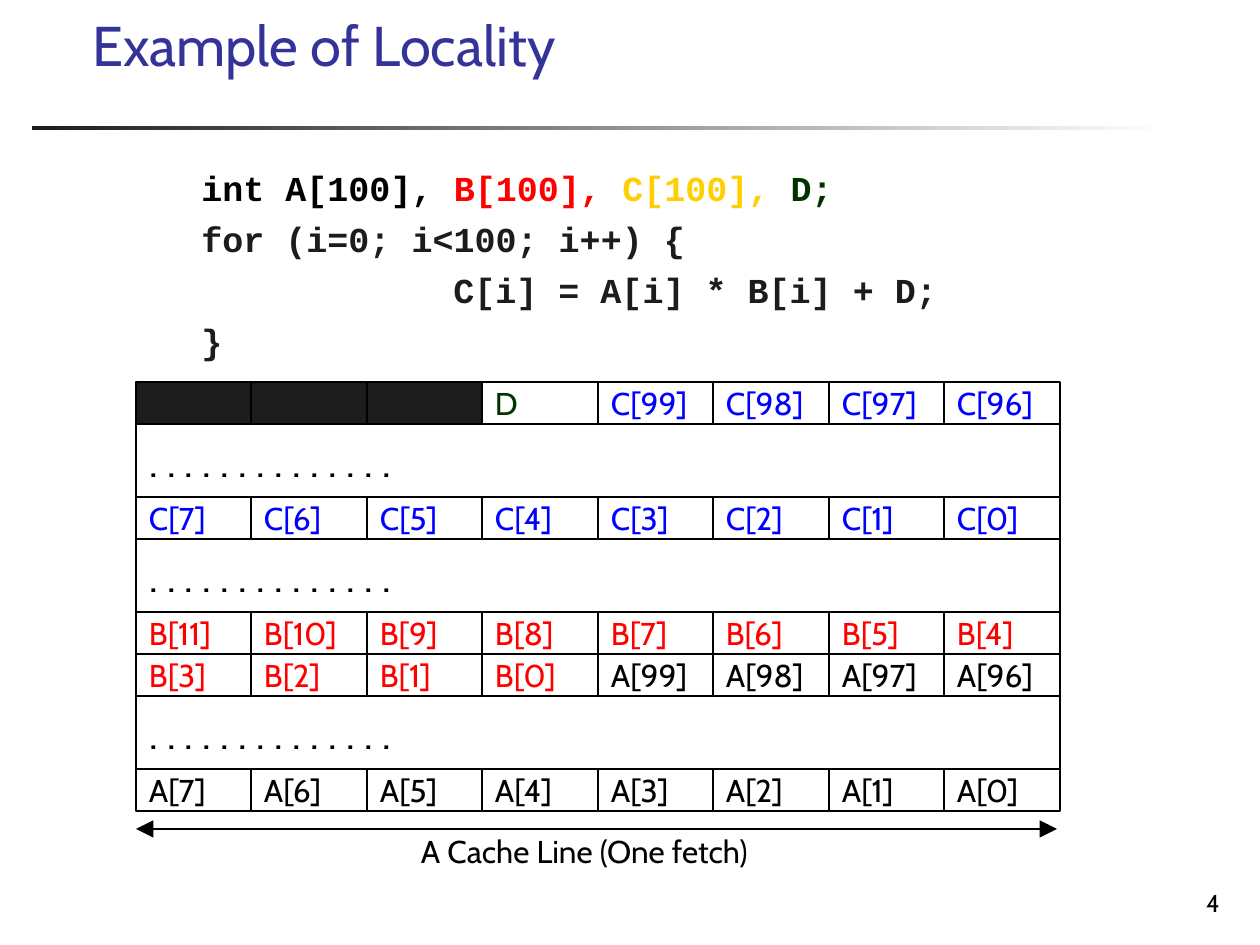
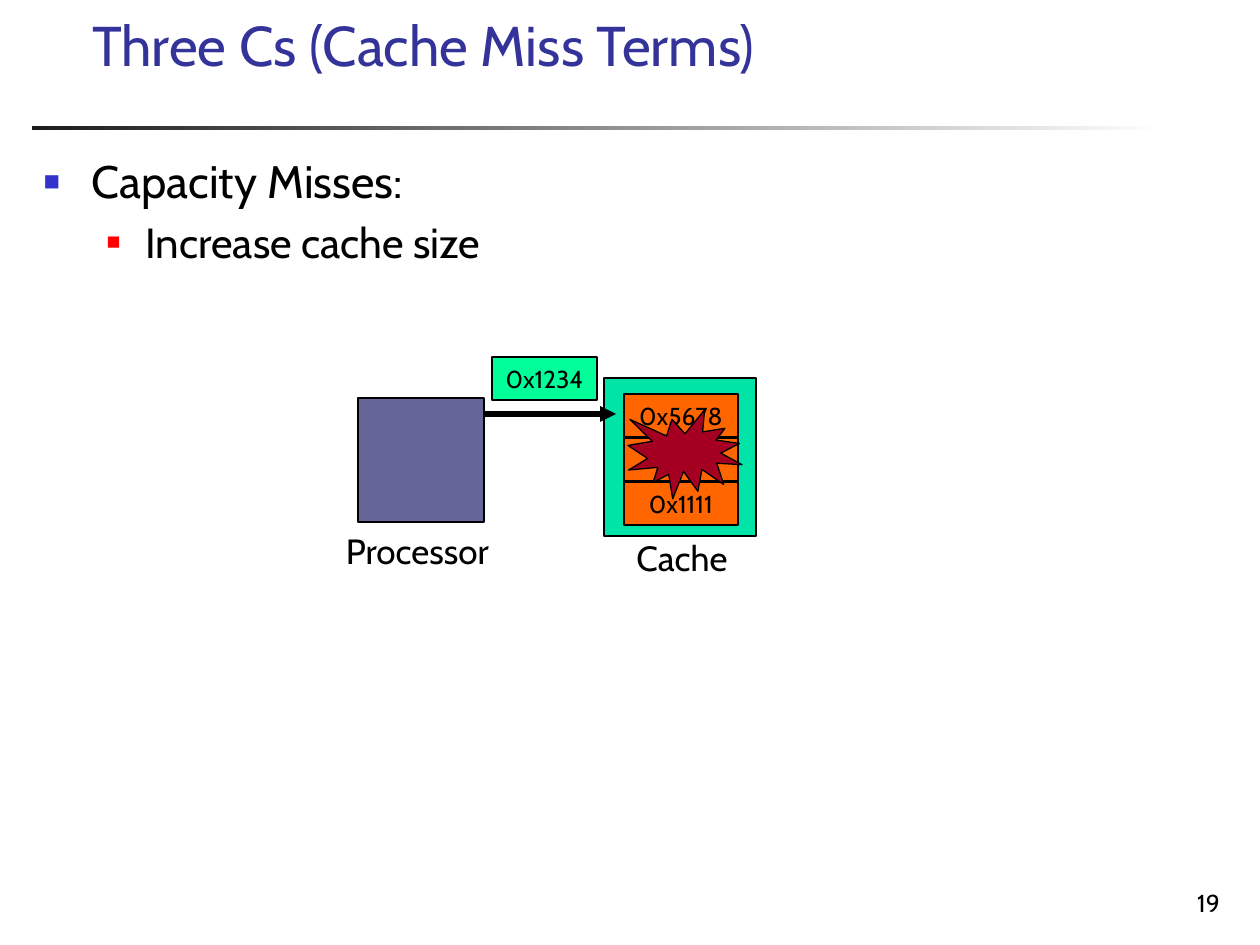
from lxml.etree import SubElement
from pptx import Presentation
from pptx.dml.color import RGBColor
from pptx.enum.shapes import MSO_CONNECTOR as Link, MSO_SHAPE as Preset
from pptx.enum.text import MSO_ANCHOR as Anchor, MSO_AUTO_SIZE as AutoSize, PP_ALIGN as Align
from pptx.oxml.ns import qn
from pptx.util import Emu, Pt

PX_PER_INCH = 126


class Theme:
    font, code_font, bullet_font = "Cabin", "Courier New", "Arial"
    white, black, ink = RGBColor(255, 255, 255), RGBColor(0, 0, 0), RGBColor(28, 28, 28)
    title = RGBColor(0x33, 0x33, 0x99)
    red, blue = RGBColor(255, 0, 0), RGBColor(0, 0, 255)
    green, gold = RGBColor(0, 0x33, 0), RGBColor(0xFF, 0xCF, 0x01)
    variables = {"A": black, "B": red, "C": blue, "D": green}
    processor, cache = RGBColor(0x66, 0x66, 0x99), RGBColor(0, 0xE4, 0xA8)
    block, request = RGBColor(0xFF, 0x66, 0), RGBColor(0, 0xFF, 0x99)
    burst = RGBColor(0xA5, 0, 0x21)
    title_size, caption_size, cell_size, dots_size = 32, 20, 18, 24
    code_size, block_size, page_size = 20, 14, 14
    hairline, thick = 0.75, 3
    bullets = [
        {"size": 26, "left": 48, "hang": 48, "color": "3333CC", "scale": "60000"},
        {"size": 24, "left": 102, "hang": 39, "color": "FF0000", "scale": "55000"},
    ]


def px(length):
    return Emu(round(length * 914400 / PX_PER_INCH))


def place(shape, left, top, width, height):
    shape.left, shape.top = px(left), px(top)
    shape.width, shape.height = px(width), px(height)


def add_run(paragraph, text, size, color=Theme.black, font=Theme.font, bold=False):
    run = paragraph.add_run()
    run.text = text
    run.font.name, run.font.size, run.font.bold = font, Pt(size), bold
    run.font.color.rgb = color


def write(shape, text, size, color=Theme.black, align=Align.CENTER,
          anchor=Anchor.MIDDLE, side=0, edge=0):
    frame = shape.text_frame
    frame.word_wrap, frame.auto_size = True, AutoSize.NONE
    frame.vertical_anchor = anchor
    frame.margin_left = frame.margin_right = px(side)
    frame.margin_top = frame.margin_bottom = px(edge)
    paragraph = frame.paragraphs[0]
    paragraph.alignment = align
    add_run(paragraph, text, size, color)


def add_label(slide, bounds, text, size, **style):
    write(slide.shapes.add_textbox(*map(px, bounds)), text, size, **style)


def add_box(slide, bounds, fill, preset=Preset.RECTANGLE):
    box = slide.shapes.add_shape(preset, *map(px, bounds))
    box.shadow.inherit = False
    box.fill.solid()
    box.fill.fore_color.rgb = fill
    box.line.color.rgb = Theme.black
    box.line.width = Pt(Theme.hairline)
    return box


def add_arrow(slide, start, end, y, width, ends, head="med"):
    arrow = slide.shapes.add_connector(Link.STRAIGHT, px(start), px(y), px(end), px(y))
    arrow.line.color.rgb = Theme.black
    arrow.line.width = Pt(width)
    outline = arrow.line._get_or_add_ln()
    for end_tag in ends:
        SubElement(outline, qn(end_tag), type="triangle", w=head, len=head)
    SubElement(arrow._element.spPr, qn("a:effectLst"))


def add_rule(slide):
    rule = slide.shapes.add_shape(Preset.RECTANGLE, *map(px, (32, 126, 1134, 4)))
    rule.shadow.inherit = False
    rule.line.fill.background()
    rule.fill.gradient()
    rule.fill.gradient_angle = 0
    for stop, (position, color) in zip(rule.fill.gradient_stops,
                                       [(0, Theme.ink), (1, Theme.white)]):
        stop.position, stop.color.rgb = position, color


def start_slide(deck, layout, title, page):
    slide = deck.slides.add_slide(deck.slide_layouts[layout])
    add_rule(slide)
    place(slide.shapes.title, 79, 18, 1116, 66)
    write(slide.shapes.title, title, Theme.title_size, Theme.title,
          align=Align.LEFT, anchor=Anchor.BOTTOM, side=13, edge=6)
    add_label(slide, (971, 860, 262, 63), page, Theme.page_size,
              align=Align.RIGHT, anchor=Anchor.BOTTOM, side=13, edge=6)
    return slide


def fill_bullets(body, items):
    frame = body.text_frame
    frame.auto_size = AutoSize.NONE
    for index, (level, text) in enumerate(items):
        paragraph = frame.add_paragraph() if index else frame.paragraphs[0]
        style = Theme.bullets[level]
        paragraph.level = level
        props = paragraph._p.get_or_add_pPr()
        props.set("marL", str(px(style["left"])))
        props.set("indent", str(-px(style["hang"])))
        SubElement(SubElement(props, qn("a:buClr")), qn("a:srgbClr"), val=style["color"])
        SubElement(props, qn("a:buSzPct"), val=style["scale"])
        SubElement(props, qn("a:buFont"), typeface=Theme.bullet_font)
        SubElement(props, qn("a:buChar"), char="■")
        paragraph.space_before = Pt(4.8 if index else 0)
        add_run(paragraph, text, style["size"])


def add_code(slide, bounds, lines):
    frame = slide.shapes.add_textbox(*map(px, bounds)).text_frame
    frame.word_wrap = True
    for index, (indent, pieces) in enumerate(lines):
        paragraph = frame.add_paragraph() if index else frame.paragraphs[0]
        paragraph._p.get_or_add_pPr().set("marL", str(px(indent)))
        paragraph.line_spacing = 0.8
        paragraph.space_before = Pt(10.1 if index else 0)
        for text, color in pieces:
            add_run(paragraph, text, Theme.code_size, color, Theme.code_font, True)


def elements(array, high, low):
    return [f"{array}[{i}]" for i in range(high, low - 1, -1)]


def add_memory(slide, left, top, width, rows):
    for row in rows:
        height = 73 if len(row) == 1 else 42
        edges = [left + width * i // len(row) for i in range(len(row) + 1)]
        for text, start, end in zip(row, edges, edges[1:]):
            cell = add_box(slide, (start, top, end - start, height),
                           Theme.white if text else Theme.ink)
            if text:
                size = Theme.dots_size if len(row) == 1 else Theme.cell_size
                color = Theme.variables.get(text[0], Theme.black)
                write(cell, text, size, color, align=Align.LEFT, side=13)
        top += height


def build_locality(deck):
    slide = start_slide(deck, 5, "Example of Locality", "4")
    skipped = [". . . . . . . . . . . . . ."]
    add_memory(slide, 136, 382, 924, [
        ["", "", "", "D"] + elements("C", 99, 96),
        skipped,
        elements("C", 7, 0),
        skipped,
        elements("B", 11, 4),
        elements("B", 3, 0) + elements("A", 99, 96),
        skipped,
        elements("A", 7, 0),
    ])
    add_arrow(slide, 136, 1057, 829, Theme.hairline, ["a:headEnd", "a:tailEnd"], "lg")
    add_label(slide, (408, 825, 380, 51), "A Cache Line (One fetch)",
              Theme.cell_size, align=Align.LEFT, side=13)
    add_code(slide, (136, 168, 816, 189), [
        (53, [("int A[100], ", Theme.black), ("B[100], ", Theme.red),
              ("C[100], ", Theme.gold), ("D;", Theme.green)]),
        (53, [("for (i=0; i<100; i++) {", Theme.ink)]),
        (305, [("C[i] = A[i] * B[i] + D;", Theme.ink)]),
        (53, [("}", Theme.ink)]),
    ])


def build_capacity_misses(deck):
    slide = start_slide(deck, 1, "Three Cs (Cache Miss Terms)", "19")
    body = slide.placeholders[1]
    place(body, 31, 147, 1202, 698)
    fill_bullets(body, [(0, "Capacity Misses:"), (1, "Increase cache size")])
    add_box(slide, (604, 378, 152, 158), Theme.cache)
    for row, address in enumerate(["0x5678", "", "0x1111"]):
        block = add_box(slide, (624, 394 + 44 * row, 114, 43), Theme.block)
        if address:
            write(block, address, Theme.block_size)
    add_box(slide, (358, 398, 126, 124), Theme.processor)
    add_arrow(slide, 484, 616, 414, Theme.thick, ["a:tailEnd"])
    add_box(slide, (628, 410, 114, 89), Theme.burst, Preset.EXPLOSION1)
    add_label(slide, (330, 522, 175, 56), "Processor", Theme.caption_size)
    add_label(slide, (622, 529, 120, 56), "Cache", Theme.caption_size)
    request = add_box(slide, (492, 357, 105, 43), Theme.request)
    write(request, "0x1234", Theme.block_size)


def main():
    deck = Presentation()
    deck.slide_width, deck.slide_height = px(1260), px(945)
    build_locality(deck)
    build_capacity_misses(deck)
    deck.save("out.pptx")


if __name__ == "__main__":
    main()
